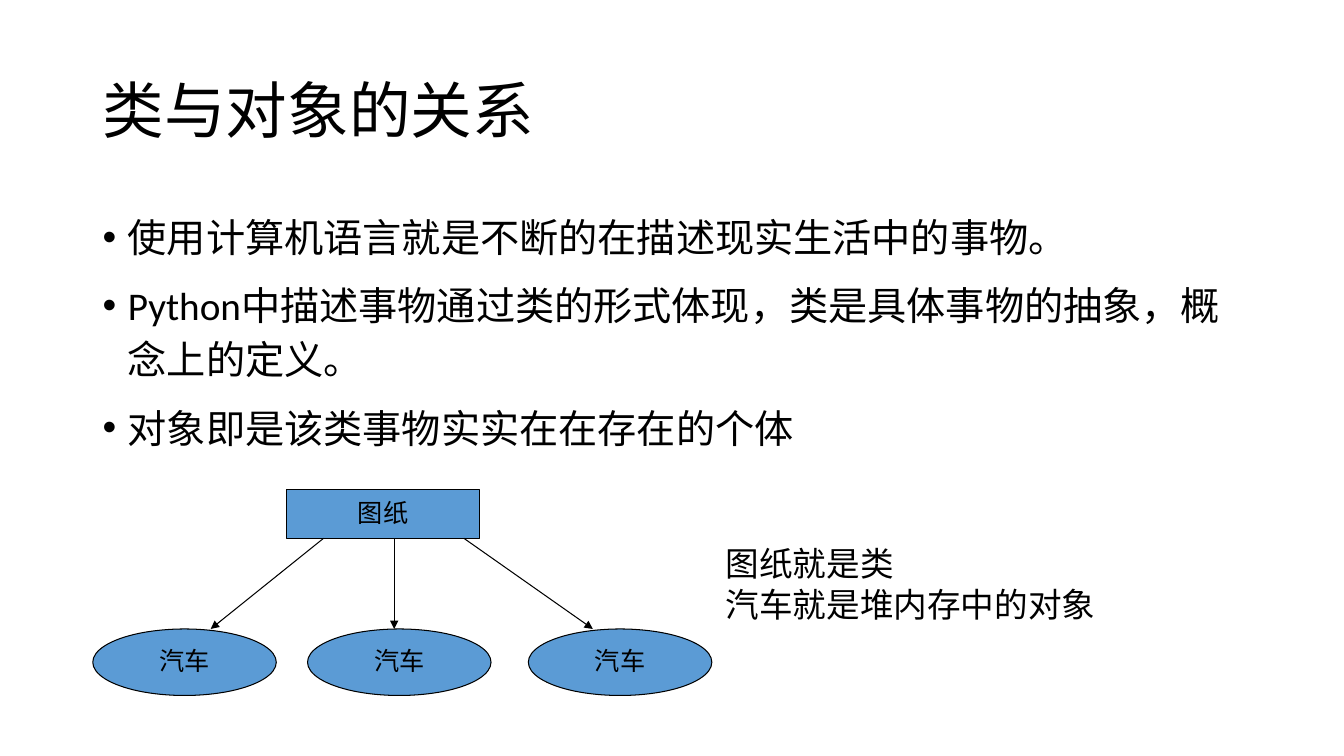
from lxml.etree import SubElement
from pptx import Presentation
from pptx.dml.color import RGBColor
from pptx.enum.shapes import MSO_CONNECTOR as Connector, MSO_SHAPE as Shape
from pptx.enum.text import MSO_ANCHOR as Anchor, MSO_AUTO_SIZE as AutoSize, PP_ALIGN as Align
from pptx.oxml.ns import qn
from pptx.util import Inches, Pt

FONT = "Calibri"
BLACK = "000000"
BLUE = "5B9BD5"


def color(value):
    """Turn a hex string into a colour."""
    return RGBColor.from_string(value)


def write(shape, lines, size, spacing=1.0, before=0, align=Align.LEFT, anchor=Anchor.TOP, wrap=True):
    """Fill a shape with formatted paragraphs."""
    frame = shape.text_frame
    frame.text = "\n".join(lines)
    frame.word_wrap = wrap
    frame.vertical_anchor = anchor
    for paragraph in frame.paragraphs:
        paragraph.alignment = align
        paragraph.line_spacing = spacing
        paragraph.space_before = Pt(before)
        for run in paragraph.runs:
            run.font.name = FONT
            run.font.size = Pt(size)
            run.font.color.rgb = color(BLACK)


def add_text(slide, box, lines, size, **style):
    """Add a text box and return it."""
    shape = slide.shapes.add_textbox(*map(Inches, box))
    write(shape, lines, size, **style)
    return shape


def add_bullets(slide, box, lines):
    """Add the bulleted body text."""
    shape = add_text(slide, box, lines, 28, spacing=1.15, before=10)
    for paragraph in shape.text_frame.paragraphs:
        properties = paragraph._p.get_or_add_pPr()
        properties.set("marL", str(Inches(0.25)))
        properties.set("indent", str(-Inches(0.25)))
        SubElement(properties, qn("a:buFont")).set("typeface", "Arial")
        SubElement(properties, qn("a:buChar")).set("char", "•")


def add_node(slide, kind, box, label):
    """Add one labelled blue node."""
    node = slide.shapes.add_shape(kind, *map(Inches, box))
    node.shadow.inherit = False
    node.fill.solid()
    node.fill.fore_color.rgb = color(BLUE)
    node.line.color.rgb = color(BLACK)
    node.line.width = Pt(0.75)
    write(node, [label], 18, spacing=0.9, align=Align.CENTER, anchor=Anchor.MIDDLE, wrap=False)


def add_arrow(slide, start, end):
    """Add a thin arrow from start to end."""
    arrow = slide.shapes.add_connector(Connector.STRAIGHT, *map(Inches, (*start, *end)))
    arrow.line.color.rgb = color(BLACK)
    arrow.line.width = Pt(0.75)
    SubElement(arrow.line._get_or_add_ln(), qn("a:tailEnd")).set("type", "triangle")
    SubElement(arrow._element.spPr, qn("a:effectLst"))


def add_diagram(slide, box):
    """Draw the blueprint with arrows to its cars."""
    left, top, width, height = box
    blueprint_height, car_width, car_height = 0.48, 1.82, 0.66
    arrow_top = top + blueprint_height
    car_top = top + height - car_height
    add_node(slide, Shape.RECTANGLE, (left + 1.92, top, 1.92, blueprint_height), "图纸")
    for car_left in (0, 2.13, width - car_width):
        add_node(slide, Shape.OVAL, (left + car_left, car_top, car_width, car_height), "汽车")
    for start, end in ((2.29, 1.17), (2.99, 2.99), (3.68, 4.96)):
        add_arrow(slide, (left + start, arrow_top), (left + end, car_top))


def build_slide(presentation):
    """Build the slide on classes and objects."""
    slide = presentation.slides.add_slide(presentation.slide_layouts[6])
    add_text(slide, (0.92, 0.4, 11.5, 1.45), ["类与对象的关系"], 44, spacing=0.9, anchor=Anchor.MIDDLE)
    add_bullets(slide, (0.92, 2, 11.5, 4.76), [
        "使用计算机语言就是不断的在描述现实生活中的事物。",
        "Python中描述事物通过类的形式体现，类是具体事物的抽象，概念上的定义。",
        "对象即是该类事物实实在在存在的个体",
    ])
    add_diagram(slide, (0.92, 4.86, 6.14, 2.04))
    caption = add_text(slide, (7.1, 5.34, 3.9, 0.91), ["图纸就是类", "汽车就是堆内存中的对象"], 24, wrap=False)
    caption.text_frame.auto_size = AutoSize.SHAPE_TO_FIT_TEXT


presentation = Presentation()
presentation.slide_width = Inches(13.33)
presentation.slide_height = Inches(7.5)
build_slide(presentation)
presentation.save("out.pptx")
